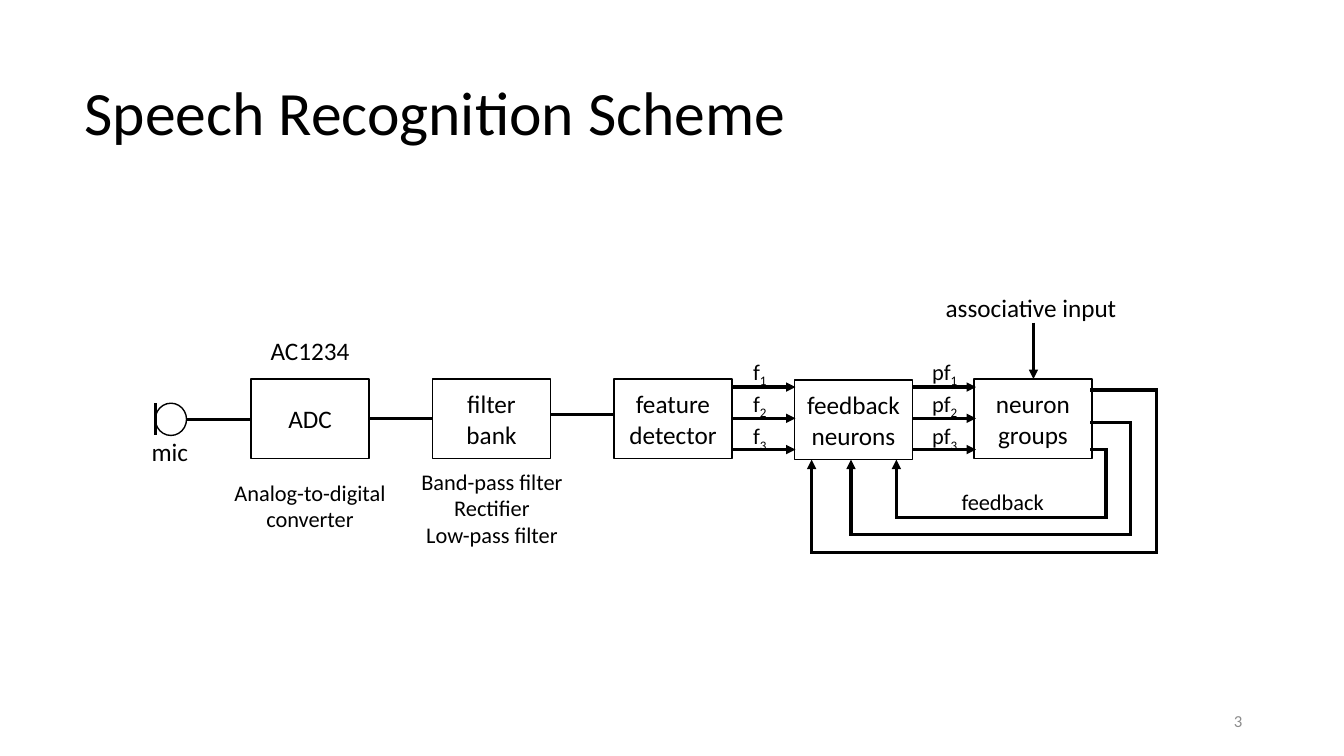
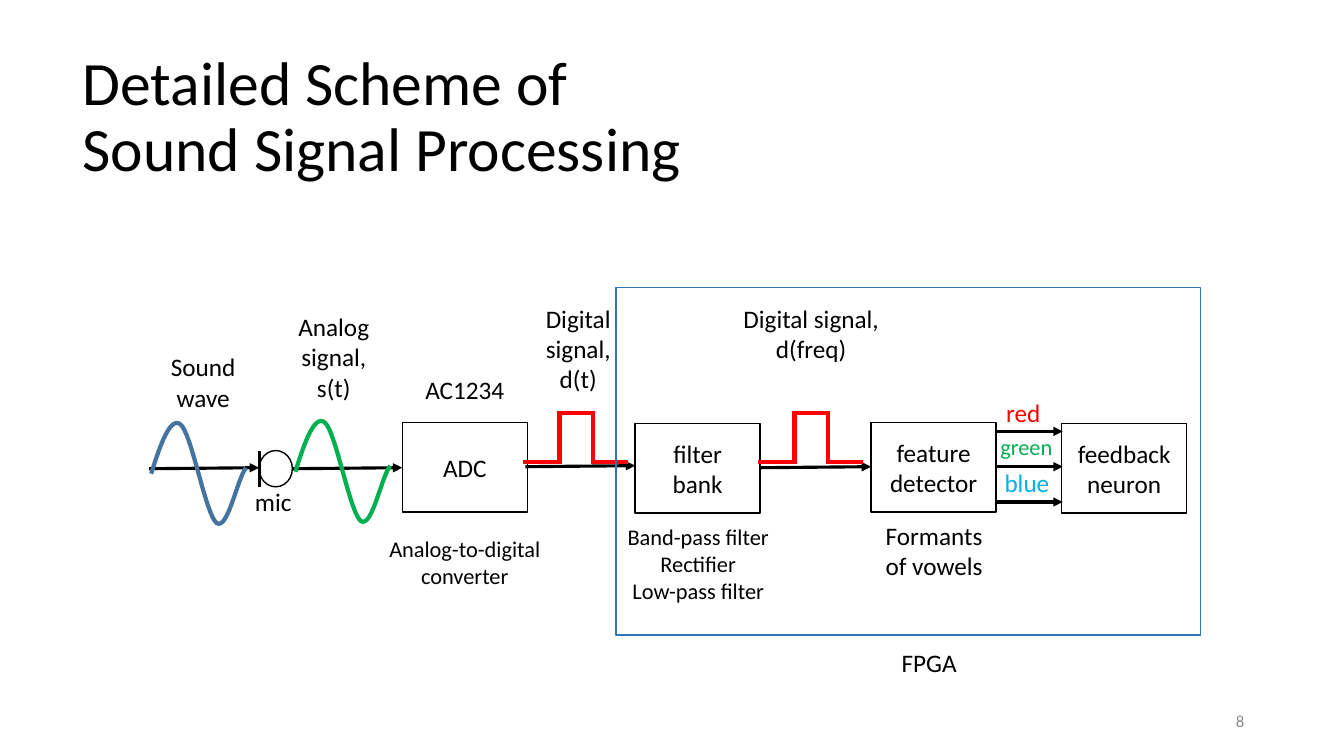
from dataclasses import dataclass

from lxml import etree
from pptx import Presentation
from pptx.dml.color import RGBColor
from pptx.enum.shapes import MSO_CONNECTOR, MSO_SHAPE
from pptx.enum.text import MSO_ANCHOR, PP_ALIGN
from pptx.oxml.ns import qn
from pptx.slide import Slide
from pptx.text.text import TextFrame
from pptx.util import Inches, Pt

RECTANGLE, OVAL = MSO_SHAPE.RECTANGLE, MSO_SHAPE.OVAL
STRAIGHT = MSO_CONNECTOR.STRAIGHT
LEFT, CENTER, RIGHT = PP_ALIGN.LEFT, PP_ALIGN.CENTER, PP_ALIGN.RIGHT
TOP, MIDDLE = MSO_ANCHOR.TOP, MSO_ANCHOR.MIDDLE

Point = tuple[float, float]


@dataclass(frozen=True)
class Theme:
    font: str = "Calibri"
    ink: str = "000000"
    muted: str = "8C8C8C"
    red: str = "FF0000"
    green: str = "00B050"
    cyan: str = "00B0F0"
    sound: str = "43739E"
    frame: str = "2E75B6"
    title_size: float = 44
    label_size: float = 18
    detail_size: float = 16
    number_size: float = 12
    outline: float = 1
    wire: float = 2.25
    signal: float = 3


THEME = Theme()


@dataclass(frozen=True)
class Label:
    text: str
    left: float
    top: float
    width: float
    height: float
    size: float = THEME.label_size
    color: str = THEME.ink
    wrap: bool = False
    align: PP_ALIGN = CENTER
    anchor: MSO_ANCHOR = TOP
    subscript: str = ""
    line_spacing: float = 1.0


@dataclass(frozen=True)
class Block:
    text: str
    left: float
    top: float
    width: float
    height: float
    padding: float = 0.05
    color: str = THEME.ink
    kind: MSO_SHAPE = RECTANGLE


@dataclass(frozen=True)
class Wire:
    points: tuple[Point, ...]
    arrow: bool = False
    color: str = THEME.ink
    weight: float = THEME.wire


def rgb(color: str) -> RGBColor:
    return RGBColor.from_string(color)


def format_text(frame: TextFrame, size: float, color: str, align: PP_ALIGN) -> None:
    for para in frame.paragraphs:
        para.alignment = align
        for span in para.runs:
            span.font.name = THEME.font
            span.font.size = Pt(size)
            span.font.color.rgb = rgb(color)


def draw_label(page: Slide, label: Label) -> None:
    box = page.shapes.add_textbox(
        Inches(label.left), Inches(label.top), Inches(label.width), Inches(label.height)
    )
    frame = box.text_frame
    frame.text = label.text
    frame.word_wrap = label.wrap
    frame.vertical_anchor = label.anchor
    if label.subscript:
        span = frame.paragraphs[0].add_run()
        span.text = label.subscript
        span._r.get_or_add_rPr().set("baseline", "-25000")
    format_text(frame, label.size, label.color, label.align)
    for para in frame.paragraphs:
        para.line_spacing = label.line_spacing


def draw_block(page: Slide, block: Block) -> None:
    shape = page.shapes.add_shape(
        block.kind,
        Inches(block.left), Inches(block.top), Inches(block.width), Inches(block.height),
    )
    shape.shadow.inherit = False
    shape.fill.background()
    shape.line.color.rgb = rgb(block.color)
    shape.line.width = Pt(THEME.outline)
    if block.text:
        frame = shape.text_frame
        frame.text = block.text
        frame.word_wrap = True
        frame.vertical_anchor = MIDDLE
        frame.margin_left = frame.margin_right = Inches(block.padding)
        format_text(frame, THEME.label_size, THEME.ink, CENTER)


def draw_wire(page: Slide, wire: Wire) -> None:
    last = len(wire.points) - 2
    for index, (start, end) in enumerate(zip(wire.points, wire.points[1:])):
        connector = page.shapes.add_connector(
            STRAIGHT, *(Inches(value) for value in (*start, *end))
        )
        connector.line.color.rgb = rgb(wire.color)
        connector.line.width = Pt(wire.weight)
        outline = connector.line._get_or_add_ln()
        if last > 0:
            outline.set("cap", "sq")
        if wire.arrow and index == last:
            etree.SubElement(outline, qn("a:tailEnd"), type="triangle")
        etree.SubElement(connector._element.spPr, qn("a:effectLst"))


def bezier(controls: tuple[Point, ...], step: float) -> Point:
    weights = ((1 - step) ** 3, 3 * step * (1 - step) ** 2, 3 * step**2 * (1 - step), step**3)
    x = sum(weight * point[0] for weight, point in zip(weights, controls))
    y = sum(weight * point[1] for weight, point in zip(weights, controls))
    return x, y


def draw_wave(page: Slide, left: float, top: float, color: str) -> None:
    curve = (
        (0, 0), (0.09, -0.29), (0.19, -0.57), (0.29, -0.49), (0.4, -0.41),
        (0.54, 0.41), (0.65, 0.49), (0.76, 0.56), (0.85, 0.06), (0.94, -0.06),
    )
    steps = 16
    points = [
        bezier(curve[first:first + 4], step / steps)
        for first in (0, 3, 6)
        for step in range(1, steps + 1)
    ]
    builder = page.shapes.build_freeform(Inches(left), Inches(top))
    builder.add_line_segments(
        [(Inches(left + x), Inches(top + y)) for x, y in points], close=False
    )
    wave = builder.convert_to_shape()
    wave.shadow.inherit = False
    wave.fill.background()
    wave.line.color.rgb = rgb(color)
    wave.line.width = Pt(THEME.signal)


def draw_pulse(page: Slide, left: float) -> None:
    low, high = 4.58, 4.1
    rise, fall, end = left + 0.34, left + 0.67, left + 1
    points = ((left, low), (rise, low), (rise, high), (fall, high), (fall, low), (end, low))
    draw_wire(page, Wire(points, color=THEME.red, weight=THEME.signal))


def draw_microphone(page: Slide, left: float, top: float, width: float, height: float) -> None:
    draw_block(page, Block("", left, top, width, height, kind=OVAL))
    draw_wire(page, Wire(((left, top), (left, top + height))))


def draw_parts(page: Slide, parts: list[Block | Label | Wire]) -> None:
    for part in parts:
        if isinstance(part, Block):
            draw_block(page, part)
        elif isinstance(part, Label):
            draw_label(page, part)
        else:
            draw_wire(page, part)


def add_page(deck: Presentation, title: Label, number: str, number_left: float) -> Slide:
    page = deck.slides.add_slide(deck.slide_layouts[6])
    draw_label(page, title)
    draw_label(page, Label(
        number, number_left, 6.95, 3, 0.4, THEME.number_size, THEME.muted, True, RIGHT, MIDDLE,
    ))
    return page


def heading(text: str, left: float, top: float, width: float) -> Label:
    return Label(
        text, left, top, width, 1.45, THEME.title_size,
        wrap=True, align=LEFT, anchor=MIDDLE, line_spacing=0.9,
    )


def detail(text: str, left: float, top: float, width: float, height: float) -> Label:
    return Label(text, left, top, width, height, THEME.detail_size, wrap=True)


def build_recognition(deck: Presentation) -> None:
    page = add_page(deck, heading("Speech Recognition Scheme", 0.74, 0.42, 11.5), "3", 9.42)
    draw_microphone(page, 1.54, 4, 0.31, 0.32)
    width, height = 1.17, 0.79
    parts = [
        Block("ADC", 2.49, 3.76, width, height),
        Block("filter bank", 4.29, 3.76, width, height, 0.25),
        Block("feature detector", 6.09, 3.76, width, height),
        Block("feedback neurons", 7.88, 3.77, width, height),
        Block("neuron groups", 9.66, 3.76, width, height),
        Wire(((1.85, 4.16), (2.48, 4.16))),
        Wire(((3.66, 4.15), (4.29, 4.15))),
        Wire(((5.46, 4.11), (6.09, 4.11))),
        Wire(((10.25, 3.2), (10.25, 3.76)), arrow=True),
        Label("mic", 1.4, 4.28, 0.57, 0.4),
        Label("AC1234", 2.5, 3.28, 1.15, 0.4),
        Label("associative input", 9.24, 2.85, 1.97, 0.4),
        Label("feedback", 9.43, 4.79, 1.03, 0.37, THEME.detail_size),
        detail("Analog-to-digital converter", 2.07, 4.7, 2.01, 0.64),
        detail("Band-pass filter\nRectifier\nLow-pass filter", 4, 4.59, 1.76, 0.91),
    ]
    for name, start, label_left, label_width in (("f", 7.26, 7.36, 0.35), ("pf", 9.05, 9.14, 0.46)):
        for index in range(3):
            y = 3.84 + 0.31 * index
            parts.append(Wire(((start, y), (start + 0.63, y)), arrow=True))
            parts.append(Label(
                name, label_left, 3.5 + 0.32 * index, label_width, 0.37,
                THEME.detail_size, subscript=str(index + 1),
            ))
    for left, bottom, right, top in (
        (8.89, 5.13, 10.97, 4.46), (8.44, 5.3, 11.21, 4.19), (8.05, 5.48, 11.47, 3.87),
    ):
        loop = ((10.83, top), (right, top), (right, bottom), (left, bottom), (left, 4.56))
        parts.append(Wire(loop, arrow=True))
    draw_parts(page, parts)


def build_processing(deck: Presentation) -> None:
    title = heading("Detailed Scheme of Sound Signal Processing", 0.72, 0.45, 6.55)
    page = add_page(deck, title, "8", 9.44)
    draw_microphone(page, 2.57, 4.47, 0.33, 0.36)
    width, height = 1.24, 0.89
    parts = [
        Block("ADC", 3.99, 4.19, width, height),
        Block("filter bank", 6.3, 4.2, width, height, 0.25),
        Block("feature detector", 8.64, 4.19, width, height),
        Block("feedback neuron", 10.53, 4.2, width, height),
        Label("mic", 2.41, 4.78, 0.6, 0.46),
        Label("AC1234", 4, 3.66, 1.22, 0.46),
        Label("Sound wave", 1.57, 3.44, 0.89, 0.8, wrap=True),
        Label("Analog signal, s(t)", 2.8, 3.04, 1.02, 1.14, wrap=True),
        Label("Digital signal, d(t)", 5.26, 2.96, 0.95, 1.14, wrap=True),
        Label("Digital signal, d(freq)", 7.27, 2.96, 1.55, 1.14, wrap=True),
        Label("Formants\nof vowels", 8.65, 5.11, 1.23, 0.8),
        Label("red", 9.86, 3.89, 0.58, 0.46, color=THEME.red),
        Label("green", 9.8, 4.25, 0.76, 0.42, THEME.detail_size, THEME.green),
        Label("blue", 9.84, 4.59, 0.69, 0.46, color=THEME.cyan),
        Label("FPGA", 8.82, 6.37, 0.79, 0.46),
        detail("Analog-to-digital converter", 3.55, 5.26, 2.12, 0.72),
        detail("Band-pass filter\nRectifier\nLow-pass filter", 6, 5.14, 1.85, 1.02),
    ]
    for start, y in ((1.48, 4.65), (2.9, 4.65), (5.21, 4.63), (7.55, 4.64)):
        parts.append(Wire(((start, y), (start + 1.09, y - 0.01)), arrow=True))
    for y in (4.28, 4.63, 4.98):
        parts.append(Wire(((9.87, y), (10.54, y)), arrow=True))
    draw_parts(page, parts)
    draw_wave(page, 1.5, 4.7, THEME.sound)
    draw_wave(page, 2.93, 4.68, THEME.green)
    draw_pulse(page, 5.21)
    draw_pulse(page, 7.54)
    draw_block(page, Block("", 6.11, 2.85, 5.8, 3.45, color=THEME.frame))


def main() -> None:
    deck = Presentation()
    deck.slide_width, deck.slide_height = Inches(13.33), Inches(7.5)
    build_recognition(deck)
    build_processing(deck)
    deck.save("out.pptx")


main()
